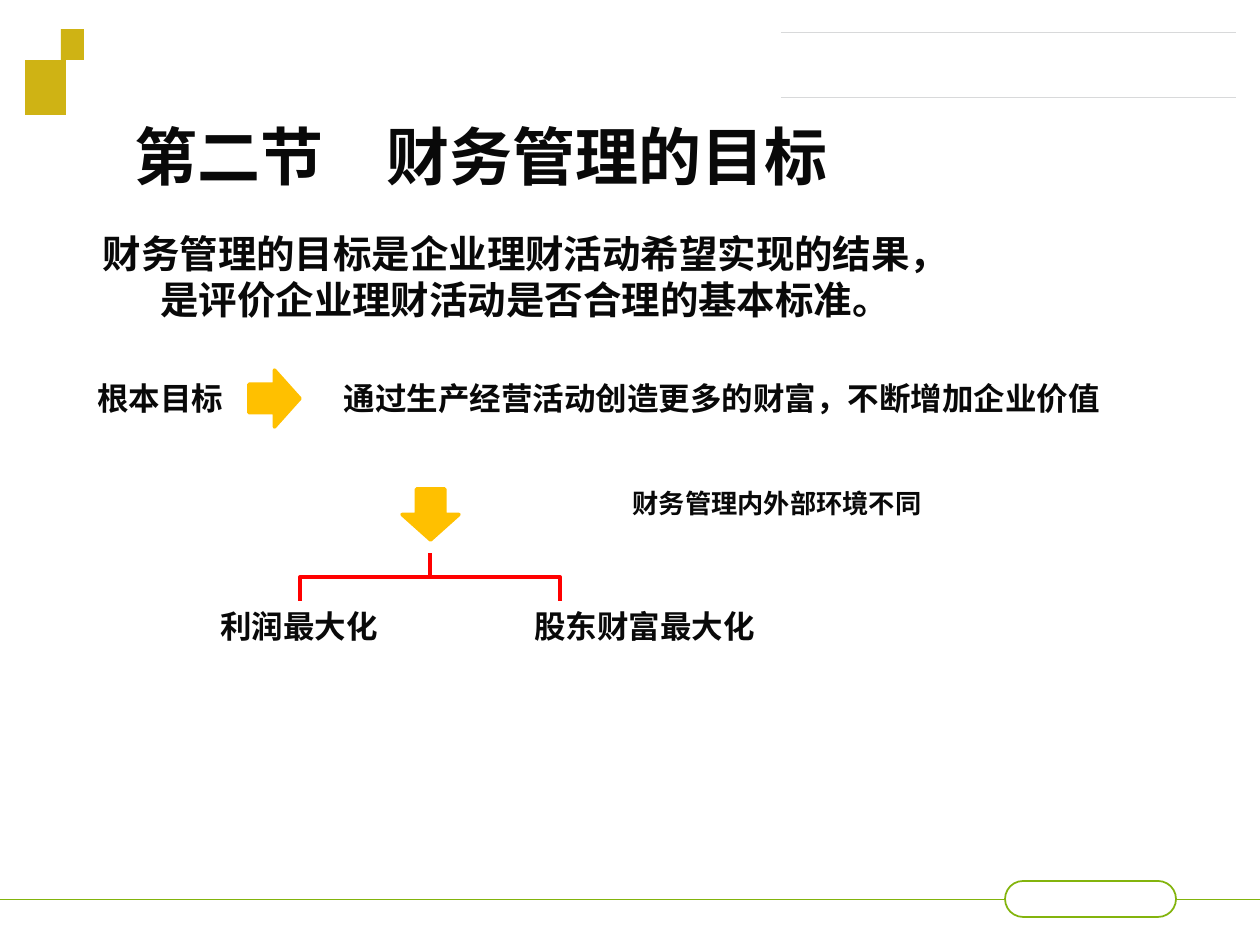
from lxml.etree import SubElement
from pptx import Presentation
from pptx.dml.color import RGBColor
from pptx.enum.shapes import MSO_CONNECTOR, MSO_SHAPE
from pptx.enum.text import MSO_ANCHOR, MSO_AUTO_SIZE, PP_ALIGN
from pptx.oxml.ns import qn
from pptx.util import Pt

SCALE = 914400 / 126
FONT = "Noto Sans CJK SC"
COLORS = {"ink": "090909", "gold": "CFB314", "amber": "FFC000",
          "red": "FF0000", "green": "83B40D", "gray": "D8D9DA"}


def px(*nums):
    return [round(num * SCALE) for num in nums]


def color(name):
    return RGBColor.from_string(COLORS[name])


def apply(item, **form):
    for key, value in form.items():
        setattr(item, key, value)


def paint(shape, fill=None, line=None, width=1):
    shape.shadow.inherit = False
    if fill:
        shape.fill.solid()
        shape.fill.fore_color.rgb = color(fill)
    else:
        shape.fill.background()
    if line:
        shape.line.color.rgb = color(line)
        shape.line.width = Pt(width)
    else:
        shape.line.fill.background()


def add_block(slide, kind, box, turn=0, **look):
    shape = slide.shapes.add_shape(kind, *px(*box))
    shape.rotation = turn
    paint(shape, **look)
    return shape


def add_rule(slide, ends, name):
    rule = slide.shapes.add_connector(MSO_CONNECTOR.STRAIGHT, *px(*ends))
    rule.line.color.rgb = color(name)
    rule.line.width = Pt(0.5)
    SubElement(rule._element.spPr, qn("a:effectLst"))
    return rule


def write(shape, text, size, align=PP_ALIGN.CENTER, wrap=True):
    frame = shape.text_frame
    apply(frame, word_wrap=wrap, vertical_anchor=MSO_ANCHOR.TOP,
          auto_size=MSO_AUTO_SIZE.SHAPE_TO_FIT_TEXT)
    para = frame.paragraphs[0]
    apply(para, alignment=align, space_before=Pt(0))
    run = para.add_run()
    run.text = text
    apply(run.font, name=FONT, size=Pt(size), bold=True)
    run.font.color.rgb = color("ink")
    SubElement(run._r.get_or_add_rPr(), qn("a:ea"), typeface=FONT)


def add_text(slide, box, text, size, wrap=True):
    write(slide.shapes.add_textbox(*px(*box)), text, size, wrap=wrap)


def add_title(slide, box, text):
    title = slide.shapes.title
    apply(title, **dict(zip(("left", "top", "width", "height"), px(*box))))
    write(title, text, 36, PP_ALIGN.JUSTIFY)


def add_frame(slide):
    pill = add_block(slide, MSO_SHAPE.ROUNDED_RECTANGLE,
                     (1005, 881, 171, 36), line="green")
    pill.adjustments[0] = 0.5
    for y in (32, 97):
        add_rule(slide, (781, y, 1236, y), "gray")
    add_rule(slide, (0, 899, 1005, 899), "green").end_connect(pill, 1)
    add_rule(slide, (1176, 899, 1260, 899), "green").begin_connect(pill, 3)
    for box in ((25, 60, 41, 55), (61, 29, 23, 31)):
        add_block(slide, MSO_SHAPE.RECTANGLE, box, fill="gold")


def add_fork(slide, left, mid, right, top, bar, base):
    build = slide.shapes.build_freeform(left, base, scale=SCALE)
    build.add_line_segments([(left, bar), (right, bar), (right, base)],
                            close=False)
    build.move_to(mid, bar)
    build.add_line_segments([(mid, top)], close=False)
    paint(build.convert_to_shape(), line="red", width=2.25)


def main():
    deck = Presentation()
    deck.slide_width, deck.slide_height = px(1260, 945)
    slide = deck.slides.add_slide(deck.slide_layouts[5])
    add_frame(slide)
    add_title(slide, (122, 111, 867, 88), "第二节　财务管理的目标")
    add_text(slide, (84, 224, 883, 151),
             "财务管理的目标是企业理财活动希望实现的结果，"
             "是评价企业理财活动是否合理的基本标准。", 22)
    add_text(slide, (462, 481, 630, 44), "财务管理内外部环境不同", 15)
    add_text(slide, (85, 373, 151, 51), "根本目标", 18, wrap=False)
    add_text(slide, (312, 373, 820, 51),
             "通过生产经营活动创造更多的财富，不断增加企业价值", 18)
    for box, turn in (((249, 370, 51, 57), 0), ((405, 486, 51, 57), 90)):
        add_block(slide, MSO_SHAPE.RIGHT_ARROW, box, turn,
                  fill="amber", line="amber", width=2)
    add_text(slide, (180, 601, 238, 51), "利润最大化", 18)
    add_text(slide, (491, 601, 307, 51), "股东财富最大化", 18)
    add_fork(slide, 300, 430, 560, 553, 577, 601)
    deck.save("out.pptx")


if __name__ == "__main__":
    main()
